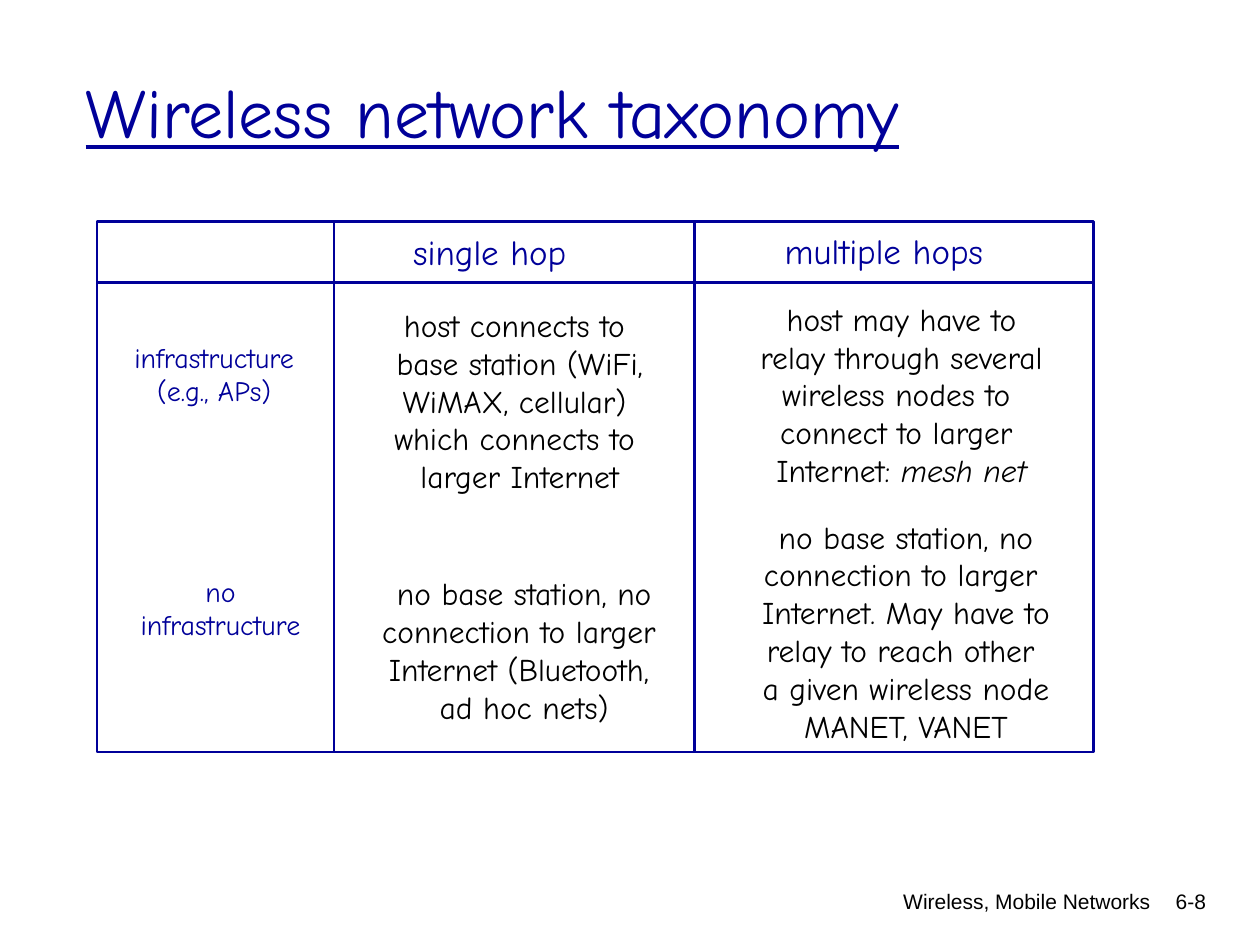
from dataclasses import dataclass

from lxml import etree
from pptx import Presentation
from pptx import util as u
from pptx.dml.color import RGBColor
from pptx.enum import shapes, text
from pptx.oxml.ns import qn


@dataclass(frozen=True)
class Theme:
    accent: RGBColor = RGBColor(0x00, 0x00, 0x99)
    ink: RGBColor = RGBColor(0x00, 0x00, 0x00)
    font: str = "Comic Neue"
    footer_font: str = "Arial"
    title: int = 40
    heading: int = 20
    body: int = 18
    row_label: int = 16
    footer: int = 12
    rule: float = 1.5


class SlideBuilder:
    def __init__(self, deck, theme):
        self.theme = theme
        self.page = deck.slides.add_slide(deck.slide_layouts[5])

    def place(self, shape, bounds):
        shape.left, shape.top, shape.width, shape.height = map(u.Inches, bounds)

    def format(self, frame, size, color, align, font=None):
        for para in frame.paragraphs:
            para.alignment = align
            for span in para.runs:
                span.font.name = font or self.theme.font
                span.font.size = u.Pt(size)
                span.font.color.rgb = color

    def title(self, words, bounds):
        box = self.page.shapes.title
        self.place(box, bounds)
        frame = box.text_frame
        frame.text = words
        frame.vertical_anchor = text.MSO_ANCHOR.MIDDLE
        frame.auto_size = text.MSO_AUTO_SIZE.NONE
        self.format(frame, self.theme.title, self.theme.accent, text.PP_ALIGN.LEFT)
        frame.paragraphs[0].runs[0].font.underline = True

    def label(self, lines, bounds, size, color, align=text.PP_ALIGN.CENTER, italic_end=""):
        box = self.page.shapes.add_textbox(*map(u.Inches, bounds))
        frame = box.text_frame
        frame.word_wrap = False
        frame.auto_size = text.MSO_AUTO_SIZE.SHAPE_TO_FIT_TEXT
        frame.text = "\n".join(lines)
        if italic_end:
            span = frame.paragraphs[-1].add_run()
            span.text = italic_end
            span.font.italic = True
        self.format(frame, size, color, align)

    def footer(self, words, bounds):
        box = self.page.shapes.add_textbox(*map(u.Inches, bounds))
        frame = box.text_frame
        frame.word_wrap = True
        frame.text = words
        self.format(frame, self.theme.footer, self.theme.ink,
                    text.PP_ALIGN.RIGHT, self.theme.footer_font)

    def stroke(self, line):
        line.color.rgb = self.theme.accent
        line.width = u.Pt(self.theme.rule)

    def frame(self, left, top, right, bottom):
        box = self.page.shapes.add_shape(
            shapes.MSO_SHAPE.RECTANGLE,
            *map(u.Inches, (left, top, right - left, bottom - top)))
        box.shadow.inherit = False
        box.fill.background()
        self.stroke(box.line)

    def rule(self, *ends):
        line = self.page.shapes.add_connector(
            shapes.MSO_CONNECTOR.STRAIGHT, *map(u.Inches, ends))
        etree.SubElement(line._element.spPr, qn("a:effectLst"))
        self.stroke(line.line)


def main():
    deck = Presentation()
    deck.slide_width, deck.slide_height = u.Inches(10), u.Inches(7.5)
    theme = Theme()
    slide = SlideBuilder(deck, theme)

    slide.footer("Wireless, Mobile Networks", (5.01, 7, 4.22, 0.35))
    slide.footer("6-8", (8.93, 7, 0.74, 0.5))
    slide.title("Wireless network taxonomy", (0.58, 0.25, 8.5, 1.25))

    for heading, bounds in (("single hop", (3.18, 1.78, 1.48, 0.43)),
                            ("multiple hops", (6.13, 1.77, 1.9, 0.43))):
        slide.label([heading], bounds, theme.heading, theme.accent, text.PP_ALIGN.LEFT)

    for lines, bounds in ((["infrastructure", "(e.g., APs)"], (0.84, 2.65, 1.72, 0.64)),
                          (["no", "infrastructure"], (0.89, 4.51, 1.72, 0.64))):
        slide.label(lines, bounds, theme.row_label, theme.accent)

    cells = (
        (["host connects to ", "base station (WiFi,", "WiMAX, cellular) ",
          "which connects to ", "larger Internet"], (2.92, 2.38, 2.41, 1.6), ""),
        (["no base station, no", "connection to larger ", "Internet (Bluetooth, ",
          "ad hoc nets)"], (2.82, 4.51, 2.68, 1.3), ""),
        (["host may have to", "relay through several", "wireless nodes to ",
          "connect to larger ", "Internet: "], (5.81, 2.33, 2.69, 1.6), "mesh net"),
        (["no base station, no", "connection to larger ", "Internet. May have to",
          "relay to reach other ", "a given wireless node", "MANET, VANET"],
         (5.8, 4.06, 2.78, 1.9), ""),
    )
    for lines, bounds, italic_end in cells:
        slide.label(lines, bounds, theme.body, theme.ink, italic_end=italic_end)

    left, top, right, bottom = 0.77, 1.76, 8.68, 5.97
    header_bottom = 2.24
    slide.frame(left, top, right, bottom)
    slide.rule(left, header_bottom, right, header_bottom)
    for column in (2.65, 5.51):
        slide.rule(column, top, column, bottom)

    deck.save("out.pptx")


if __name__ == "__main__":
    main()
